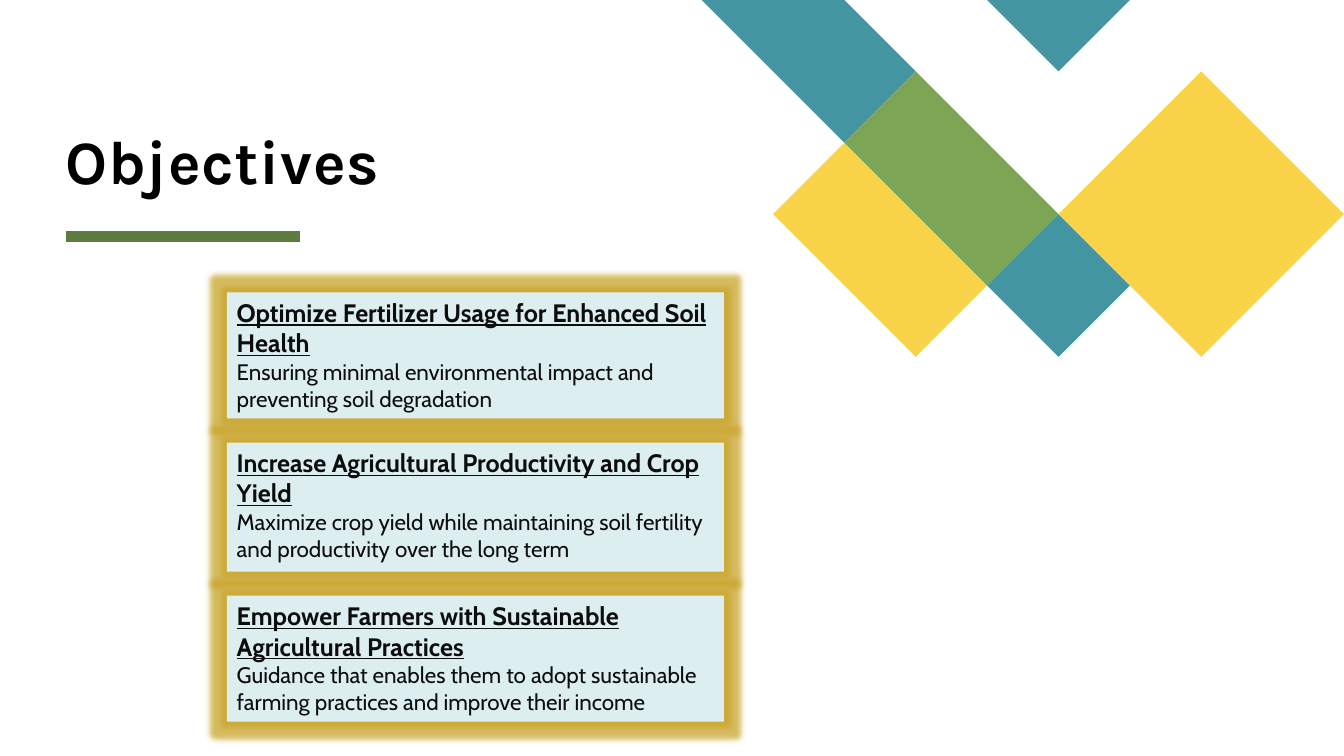
import pptx
import pptx.util
import pptx.dml.color
import pptx.enum.shapes
import pptx.enum.text
import lxml.etree
from dataclasses import dataclass
from pptx.oxml.ns import qn

TITLE = "Objectives"
OBJECTIVES = [
    ("Optimize Fertilizer Usage for Enhanced Soil Health",
     "Ensuring minimal environmental impact and preventing soil degradation"),
    ("Increase Agricultural Productivity and Crop Yield",
     "Maximize crop yield while maintaining soil fertility and productivity over the long term"),
    ("Empower Farmers with Sustainable Agricultural Practices",
     "Guidance that enables them to adopt sustainable farming practices and improve their income"),
]


@dataclass
class Theme:
    teal: str = "4495A2"
    yellow: str = "F9D448"
    green: str = "7CA655"
    rule: str = "5D7D40"
    card: str = "DDEEF1"
    glow: str = "C9A52B"
    title: str = "000000"
    ink: str = "0D0D0D"
    title_font: str = "Karla"
    body_font: str = "Cabin"
    title_size: int = 44
    head_size: int = 18
    body_size: int = 16


T = Theme()
PATTERN = [
    (T.teal, [(0, 0), (2, 0), (3, 1), (2, 2)]),
    (T.teal, [(5, 3), (6, 4), (5, 5), (4, 4)]),
    (T.yellow, [(2, 2), (4, 4), (3, 5), (1, 3)]),
    (T.teal, [(4, 0), (6, 0), (5, 1)]),
    (T.green, [(3, 1), (5, 3), (4, 4), (2, 2)]),
    (T.yellow, [(7, 1), (9, 3), (7, 5), (5, 3)]),
]
WIDTH, HEIGHT = 13.33, 7.5
UNIT = 3.54 / 5
PATTERN_LEFT = WIDTH - 9 * UNIT
MARGIN = 0.65
CARD_LEFT, CARD_TOP, CARD_WIDTH = 2.25, 2.9, 4.93
CARD_HEIGHTS = [1.25, 1.28, 1.25]
CARD_GAP = 0.24
inch = pptx.util.Inches


def rgb(value):
    return pptx.dml.color.RGBColor.from_string(value)


def paint(sp, color):
    sp.shadow.inherit = False
    sp.fill.solid()
    sp.fill.fore_color.rgb = rgb(color)
    sp.line.fill.background()


def add_run(p, text, font, size, color, bold=False, underline=False):
    r = p.add_run()
    r.text = text
    r.font.name, r.font.size = font, pptx.util.Pt(size)
    r.font.bold, r.font.underline = bold, underline
    r.font.color.rgb = rgb(color)
    return r


def add_tile(s, color, corners):
    points = [(inch(PATTERN_LEFT + x * UNIT), inch(y * UNIT)) for x, y in corners]
    builder = s.shapes.build_freeform(*points[0])
    builder.add_line_segments(points[1:], close=True)
    paint(builder.convert_to_shape(), color)


def add_rule(s):
    y = inch(2.35)
    line = s.shapes.add_connector(pptx.enum.shapes.MSO_CONNECTOR.STRAIGHT,
                                  inch(MARGIN), y, inch(2.98), y)
    line.line.color.rgb = rgb(T.rule)
    line.line.width = pptx.util.Pt(8)
    lxml.etree.SubElement(line._element.spPr, qn("a:effectLst"))


def add_title(s):
    sp = s.shapes.title
    sp.left, sp.top, sp.width, sp.height = map(inch, (MARGIN, 1.27, 7.42, 0.68))
    tf = sp.text_frame
    tf.margin_left = tf.margin_right = tf.margin_top = tf.margin_bottom = 0
    tf.auto_size = pptx.enum.text.MSO_AUTO_SIZE.NONE
    tf.vertical_anchor = pptx.enum.text.MSO_ANCHOR.BOTTOM
    p = tf.paragraphs[0]
    p.alignment = pptx.enum.text.PP_ALIGN.LEFT
    p.line_spacing = 0.8
    r = add_run(p, TITLE, T.title_font, T.title_size, T.title, bold=True)
    r.font._element.set("spc", "50")


def add_glow(sp):
    effects = sp._element.spPr.find(qn("a:effectLst"))
    glow = lxml.etree.SubElement(effects, qn("a:glow"), rad=str(pptx.util.Pt(8)))
    color = lxml.etree.SubElement(glow, qn("a:srgbClr"), val=T.glow)
    lxml.etree.SubElement(color, qn("a:alpha"), val="75000")


def add_card(s, top, height, head, body):
    sp = s.shapes.add_shape(pptx.enum.shapes.MSO_SHAPE.RECTANGLE,
                            *map(inch, (CARD_LEFT, top, CARD_WIDTH, height)))
    paint(sp, T.card)
    add_glow(sp)
    tf = sp.text_frame
    tf.word_wrap = True
    tf.vertical_anchor = pptx.enum.text.MSO_ANCHOR.TOP
    p = tf.paragraphs[0]
    p.alignment = pptx.enum.text.PP_ALIGN.LEFT
    add_run(p, head, T.body_font, T.head_size, T.ink, bold=True, underline=True)
    p.add_line_break()
    add_run(p, body, T.body_font, T.body_size, T.ink)


def main():
    prs = pptx.Presentation()
    prs.slide_width, prs.slide_height = inch(WIDTH), inch(HEIGHT)
    s = prs.slides.add_slide(prs.slide_layouts[5])
    for color, corners in PATTERN:
        add_tile(s, color, corners)
    add_rule(s)
    add_title(s)
    top = CARD_TOP
    for height, (head, body) in zip(CARD_HEIGHTS, OBJECTIVES):
        add_card(s, top, height, head, body)
        top += height + CARD_GAP
    prs.save("out.pptx")


if __name__ == "__main__":
    main()
